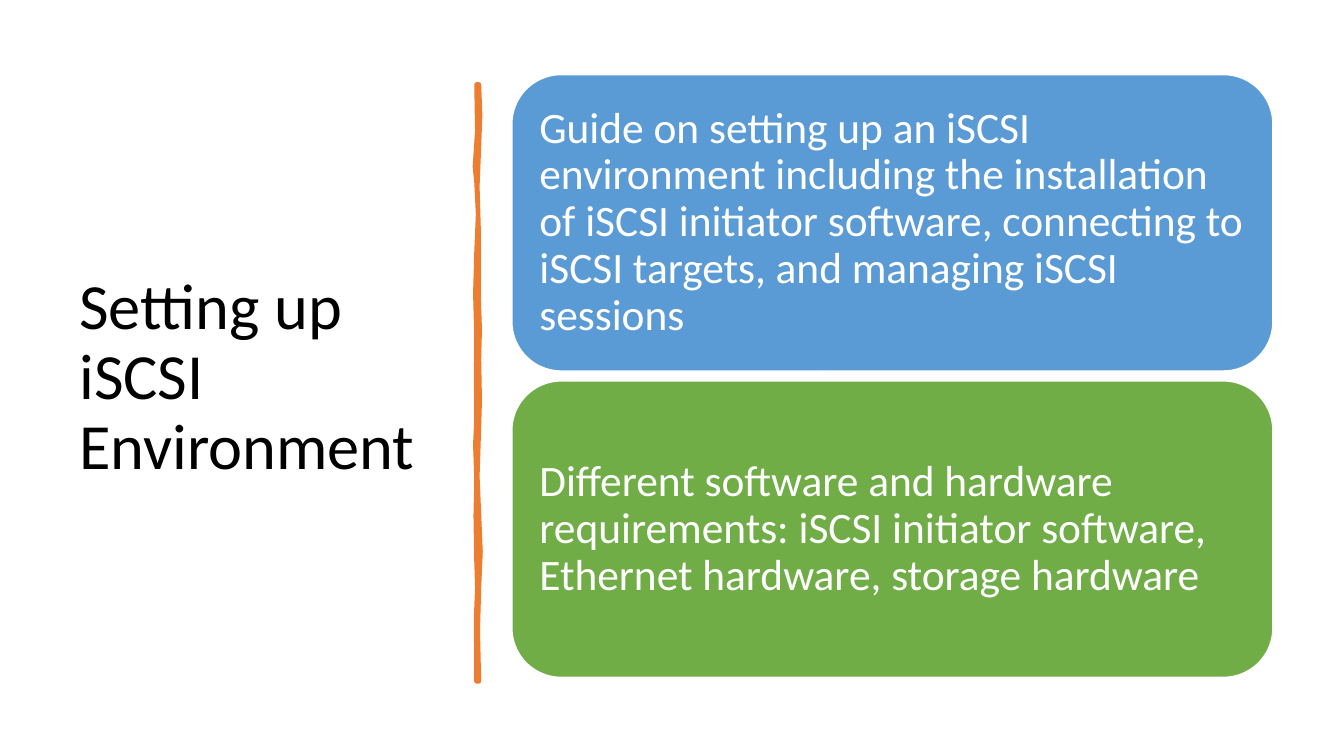
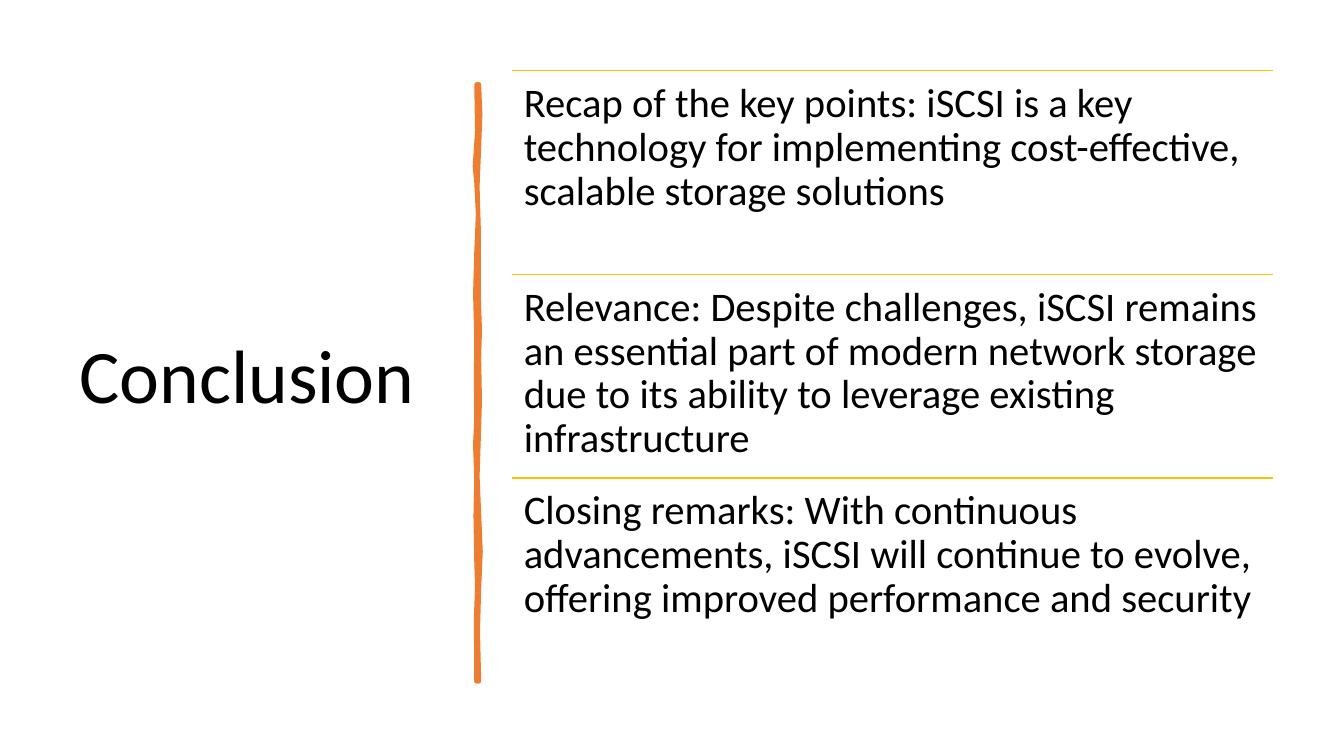
from dataclasses import dataclass

from lxml import etree
from pptx import Presentation
from pptx import util as u
from pptx.dml.color import RGBColor
from pptx.enum import shapes, text
from pptx.oxml.ns import qn
from pptx.slide import Slide
from pptx.text.text import TextFrame

COLORS = {
    "black": "000000",
    "white": "FFFFFF",
    "orange": "ED7D31",
    "blue": "5B9BD5",
    "green": "70AD47",
    "gold": "FFC000",
}
FONT = "Calibri"
CONTENT_LEFT, CONTENT_WIDTH = 12.9, 19.18
PANEL_TOP, PANEL_HEIGHT, PANEL_GAP = 1.88, 7.47, 0.25
ROW_TOP, ROW_HEIGHT = 1.78, 5.13

# Brush stroke edges as (x, y) in centimetres: right side down, left side up.
BRUSH_RIGHT = [
    (12.07, 2.13), (12.1, 2.9), (12.07, 3.7), (12.03, 4.7),
    (12.06, 5.74), (12.06, 7.47), (12.09, 8.3), (12.07, 9.04),
    (12.09, 10.1), (12.06, 11.07), (12.03, 12), (12.07, 12.95),
    (12.11, 13.9), (12.07, 14.83), (12.04, 15.9), (12.07, 17.17),
]
BRUSH_LEFT = [
    (12.01, 17.17), (12, 15.57), (12.03, 14.8), (12.01, 14.15),
    (11.99, 13), (12.01, 12.1), (11.98, 11.2), (12.01, 10.54),
    (12, 9.5), (12.01, 8.5), (11.98, 7.4), (12.01, 6.35),
    (12.05, 5.4), (12.01, 4.6), (11.97, 4.2), (12.03, 3.3), (12.01, 2.13),
]


@dataclass(frozen=True)
class TextStyle:
    size: int
    color: str
    anchor: text.MSO_ANCHOR
    inset_x: float
    inset_y: float


@dataclass(frozen=True)
class Panel:
    wording: str
    color: str


PANEL_STYLE = TextStyle(31, "white", text.MSO_ANCHOR.MIDDLE, 0.33, 0.33)
ROW_STYLE = TextStyle(29, "black", text.MSO_ANCHOR.TOP, 0.3, 0.3)

SETUP_PANELS = [
    Panel("Guide on setting up an iSCSI environment including the installation of "
          "iSCSI initiator software, connecting to iSCSI targets, and managing "
          "iSCSI sessions", "blue"),
    Panel("Different software and hardware requirements: iSCSI initiator software, "
          "Ethernet hardware, storage hardware", "green"),
]
CONCLUSION_ROWS = [
    "Recap of the key points: iSCSI is a key technology for implementing "
    "cost-effective, scalable storage solutions",
    "Relevance: Despite challenges, iSCSI remains an essential part of modern "
    "network storage due to its ability to leverage existing infrastructure",
    "Closing remarks: With continuous advancements, iSCSI will continue to evolve, "
    "offering improved performance and security",
]


def rgb(name: str) -> RGBColor:
    return RGBColor.from_string(COLORS[name])


def write(frame: TextFrame, wording: str, style: TextStyle) -> None:
    frame.word_wrap = True
    frame.vertical_anchor = style.anchor
    frame.margin_left = frame.margin_right = u.Cm(style.inset_x)
    frame.margin_top = frame.margin_bottom = u.Cm(style.inset_y)
    paragraph = frame.paragraphs[0]
    paragraph.alignment = text.PP_ALIGN.LEFT
    paragraph.line_spacing = 0.9
    run = paragraph.add_run()
    run.text = wording
    run.font.name = FONT
    run.font.size = u.Pt(style.size)
    run.font.color.rgb = rgb(style.color)


def add_title(slide: Slide, wording: str, size: int) -> None:
    box = slide.shapes.add_textbox(u.Cm(1.75), u.Cm(1.78), u.Cm(9.5), u.Cm(15.52))
    style = TextStyle(size, "black", text.MSO_ANCHOR.MIDDLE, 0.25, 0.13)
    write(box.text_frame, wording, style)


def add_brush_divider(slide: Slide) -> None:
    start, *rest = [(u.Cm(x), u.Cm(y)) for x, y in BRUSH_RIGHT + BRUSH_LEFT]
    builder = slide.shapes.build_freeform(*start)
    builder.add_line_segments(rest, close=True)
    brush = builder.convert_to_shape()
    brush.shadow.inherit = False
    brush.fill.solid()
    brush.fill.fore_color.rgb = rgb("orange")
    brush.line.color.rgb = rgb("orange")
    brush.line.width = u.Pt(3.25)


def add_titled_slide(presentation: Presentation, title: str, size: int) -> Slide:
    slide = presentation.slides.add_slide(presentation.slide_layouts[6])
    add_title(slide, title, size)
    add_brush_divider(slide)
    return slide


def add_panel(slide: Slide, panel: Panel, top: float) -> None:
    shape = slide.shapes.add_shape(
        shapes.MSO_SHAPE.ROUNDED_RECTANGLE,
        u.Cm(CONTENT_LEFT), u.Cm(top), u.Cm(CONTENT_WIDTH), u.Cm(PANEL_HEIGHT))
    shape.shadow.inherit = False
    shape.fill.solid()
    shape.fill.fore_color.rgb = rgb(panel.color)
    shape.line.color.rgb = rgb("white")
    shape.line.width = u.Pt(1)
    write(shape.text_frame, panel.wording, PANEL_STYLE)


def add_ruled_row(slide: Slide, wording: str, top: float) -> None:
    """Draw a gold rule with its text below."""
    rule = slide.shapes.add_connector(
        shapes.MSO_CONNECTOR.STRAIGHT, u.Cm(CONTENT_LEFT), u.Cm(top),
        u.Cm(CONTENT_LEFT + CONTENT_WIDTH), u.Cm(top))
    rule.line.color.rgb = rgb("gold")
    rule.line.width = u.Pt(1)
    etree.SubElement(rule._element.spPr, qn("a:effectLst"))
    box = slide.shapes.add_textbox(
        u.Cm(CONTENT_LEFT), u.Cm(top), u.Cm(CONTENT_WIDTH), u.Cm(ROW_HEIGHT))
    write(box.text_frame, wording, ROW_STYLE)


def main() -> None:
    presentation = Presentation()
    presentation.slide_width = u.Cm(33.87)
    presentation.slide_height = u.Cm(19.05)

    setup = add_titled_slide(presentation, "Setting up iSCSI Environment", 46)
    for index, panel in enumerate(SETUP_PANELS):
        add_panel(setup, panel, PANEL_TOP + index * (PANEL_HEIGHT + PANEL_GAP))

    conclusion = add_titled_slide(presentation, "Conclusion", 54)
    for index, wording in enumerate(CONCLUSION_ROWS):
        add_ruled_row(conclusion, wording, ROW_TOP + index * ROW_HEIGHT)

    presentation.save("out.pptx")


if __name__ == "__main__":
    main()
